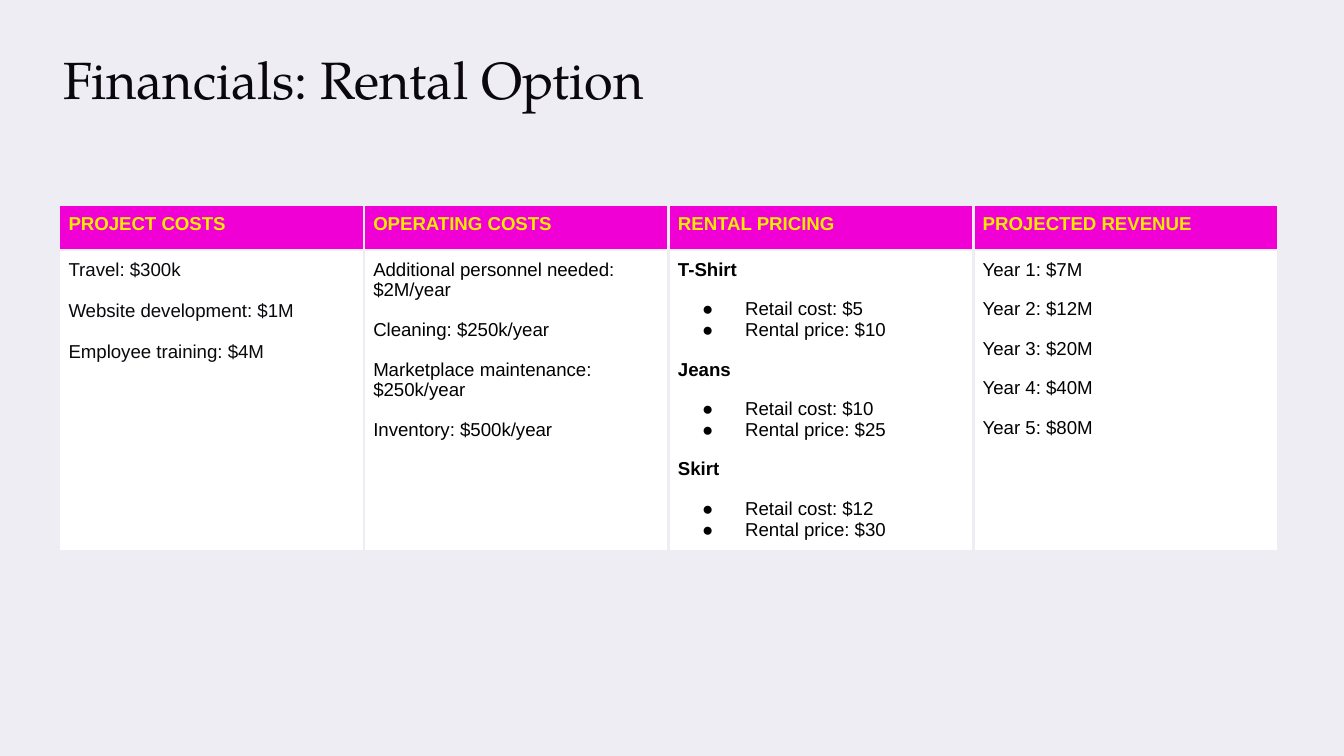
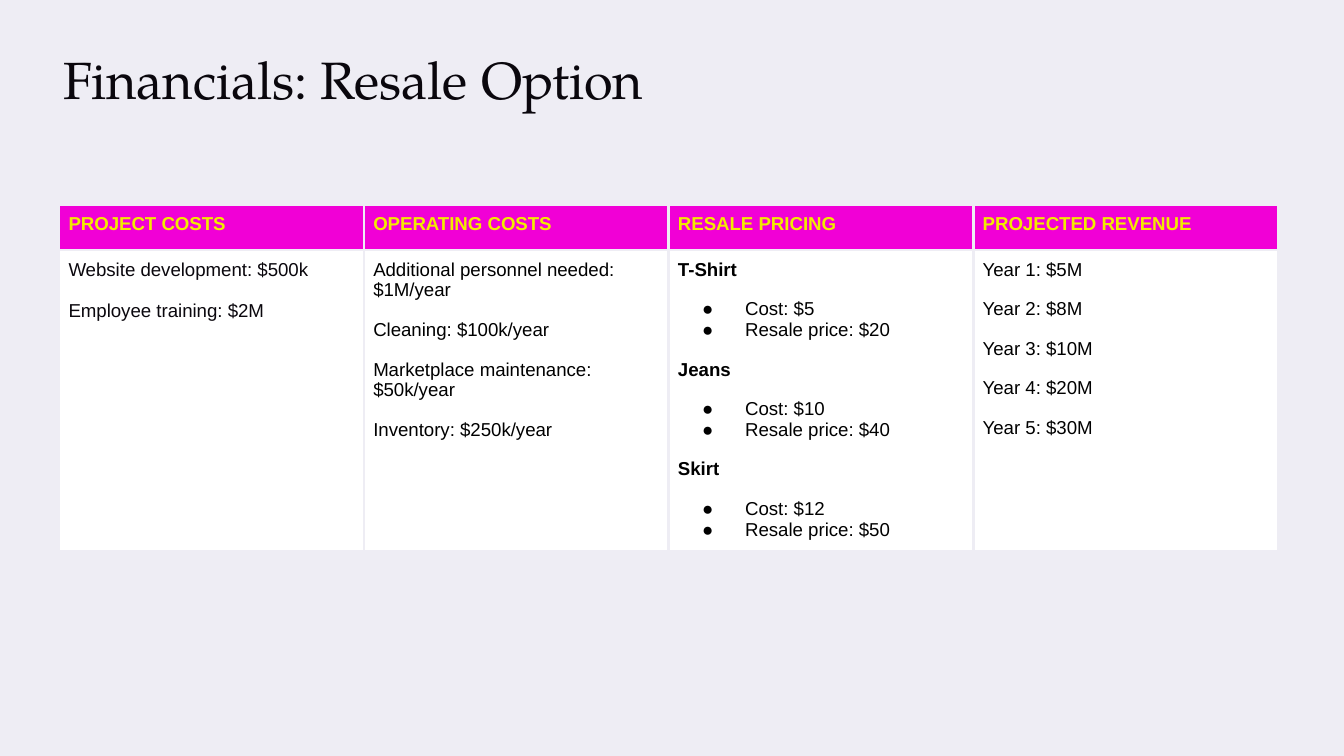
import dataclasses

import lxml.etree
import pptx
import pptx.dml.color
import pptx.enum.text
import pptx.oxml.ns
import pptx.util

Inches = pptx.util.Inches
Pt = pptx.util.Pt
qn = pptx.oxml.ns.qn


@dataclasses.dataclass(frozen=True)
class Theme:
    background: str = "EEEDF4"
    ink: str = "0A070D"
    body: str = "000000"
    header_fill: str = "F100D6"
    header_text: str = "F2EB00"
    cell_fill: str = "FFFFFF"
    title_font: str = "TeX Gyre Pagella"
    body_font: str = "Arial"
    title_size: int = 28
    body_size: int = 10
    border_width: float = 1.5
    cell_inset: float = 0.07


@dataclasses.dataclass(frozen=True)
class Entry:
    """One paragraph of a body cell."""
    text: str
    bold: bool = False
    bullet: bool = False
    space_before: int = 10


THEME = Theme()
SLIDE_WIDTH = Inches(10)
SLIDE_HEIGHT = SLIDE_WIDTH * 9 // 16
TITLE_BOX = (0.37, 0.25, 8.75, 0.63)
TABLE_BOX = (0.44, 1.52, 9.07, 2.58)
HEADER_HEIGHT = 0.34

OPTIONS = [
    {
        "name": "Rental",
        "project_costs": ["Travel: $300k", "Website development: $1M", "Employee training: $4M"],
        "operating_costs": ["$2M", "$250k", "$250k", "$500k"],
        "cost_label": "Retail cost",
        "prices": [("T-Shirt", 5, 10), ("Jeans", 10, 25), ("Skirt", 12, 30)],
        "revenue": [7, 12, 20, 40, 80],
    },
    {
        "name": "Resale",
        "project_costs": ["Website development: $500k", "Employee training: $2M"],
        "operating_costs": ["$1M", "$100k", "$50k", "$250k"],
        "cost_label": "Cost",
        "prices": [("T-Shirt", 5, 20), ("Jeans", 10, 40), ("Skirt", 12, 50)],
        "revenue": [5, 8, 10, 20, 30],
    },
]
OPERATING_ITEMS = ["Additional personnel needed", "Cleaning", "Marketplace maintenance", "Inventory"]


def rgb(value):
    return pptx.dml.color.RGBColor.from_string(value)


def format_runs(paragraph, font, size, color, bold=False):
    for run in paragraph.runs:
        run.font.name = font
        run.font.size = Pt(size)
        run.font.bold = bold
        run.font.color.rgb = rgb(color)


def add_bullet(paragraph, color):
    properties = paragraph._p.get_or_add_pPr()
    properties.set("marL", str(Inches(0.5)))
    properties.set("indent", str(Inches(-0.32)))
    bullet_color = lxml.etree.SubElement(properties, qn("a:buClr"))
    lxml.etree.SubElement(bullet_color, qn("a:srgbClr"), val=color)
    lxml.etree.SubElement(properties, qn("a:buFont"), typeface=THEME.body_font)
    lxml.etree.SubElement(properties, qn("a:buChar"), char="●")


def add_borders(cell):
    properties = cell._tc.get_or_add_tcPr()
    for position, side in enumerate(("a:lnL", "a:lnR", "a:lnT", "a:lnB")):
        line = properties.makeelement(qn(side), {"w": str(Pt(THEME.border_width))})
        fill = lxml.etree.SubElement(line, qn("a:solidFill"))
        lxml.etree.SubElement(fill, qn("a:srgbClr"), val=THEME.background)
        properties.insert(position, line)


def fill_cell(cell, entries, fill, color):
    cell.fill.solid()
    cell.fill.fore_color.rgb = rgb(fill)
    add_borders(cell)
    inset = Inches(THEME.cell_inset)
    cell.margin_left = cell.margin_right = cell.margin_top = cell.margin_bottom = inset
    cell.text_frame.text = "\n".join(entry.text for entry in entries)
    for index, (paragraph, entry) in enumerate(zip(cell.text_frame.paragraphs, entries)):
        paragraph.space_before = Pt(entry.space_before if index else 0)
        if entry.bullet:
            add_bullet(paragraph, color)
        format_runs(paragraph, THEME.body_font, THEME.body_size, color, entry.bold)


def price_entries(option):
    entries = []
    for garment, cost, price in option["prices"]:
        entries += [
            Entry(garment, bold=True),
            Entry(f"{option['cost_label']}: ${cost}", bullet=True),
            Entry(f"{option['name']} price: ${price}", bullet=True, space_before=0),
        ]
    return entries


def financial_columns(option):
    """Return heading, body entries and body colour of each column."""
    operating = zip(OPERATING_ITEMS, option["operating_costs"])
    return [
        ("PROJECT COSTS", [Entry(text, space_before=11) for text in option["project_costs"]], THEME.ink),
        ("OPERATING COSTS", [Entry(f"{item}: {cost}/year") for item, cost in operating], THEME.body),
        (f"{option['name'].upper()} PRICING", price_entries(option), THEME.body),
        ("PROJECTED REVENUE",
         [Entry(f"Year {year}: ${amount}M") for year, amount in enumerate(option["revenue"], 1)],
         THEME.body),
    ]


def place_title(slide, text, box):
    title = slide.shapes.title
    title.left, title.top, title.width, title.height = map(Inches, box)
    frame = title.text_frame
    frame.text = text
    frame.word_wrap = True
    frame.auto_size = pptx.enum.text.MSO_AUTO_SIZE.NONE
    frame.vertical_anchor = pptx.enum.text.MSO_ANCHOR.TOP
    frame.margin_left = frame.margin_right = frame.margin_top = frame.margin_bottom = Inches(0.1)
    paragraph = frame.paragraphs[0]
    paragraph.alignment = pptx.enum.text.PP_ALIGN.LEFT
    format_runs(paragraph, THEME.title_font, THEME.title_size, THEME.ink)


def add_financial_table(slide, columns, box):
    left, top, width, height = box
    table = slide.shapes.add_table(2, len(columns), *map(Inches, box)).table
    table.first_row = table.horz_banding = False
    table.rows[0].height = Inches(HEADER_HEIGHT)
    table.rows[1].height = Inches(height - HEADER_HEIGHT)
    for index, (heading, entries, color) in enumerate(columns):
        table.columns[index].width = Inches(width / len(columns))
        fill_cell(table.cell(0, index), [Entry(heading, bold=True)], THEME.header_fill, THEME.header_text)
        fill_cell(table.cell(1, index), entries, THEME.cell_fill, color)


def add_financial_slide(presentation, option):
    slide = presentation.slides.add_slide(presentation.slide_layouts[5])
    place_title(slide, f"Financials: {option['name']} Option", TITLE_BOX)
    add_financial_table(slide, financial_columns(option), TABLE_BOX)


def main():
    presentation = pptx.Presentation()
    presentation.slide_width = SLIDE_WIDTH
    presentation.slide_height = SLIDE_HEIGHT
    background = presentation.slide_master.background.fill
    background.solid()
    background.fore_color.rgb = rgb(THEME.background)
    for option in OPTIONS:
        add_financial_slide(presentation, option)
    presentation.save("out.pptx")


if __name__ == "__main__":
    main()
